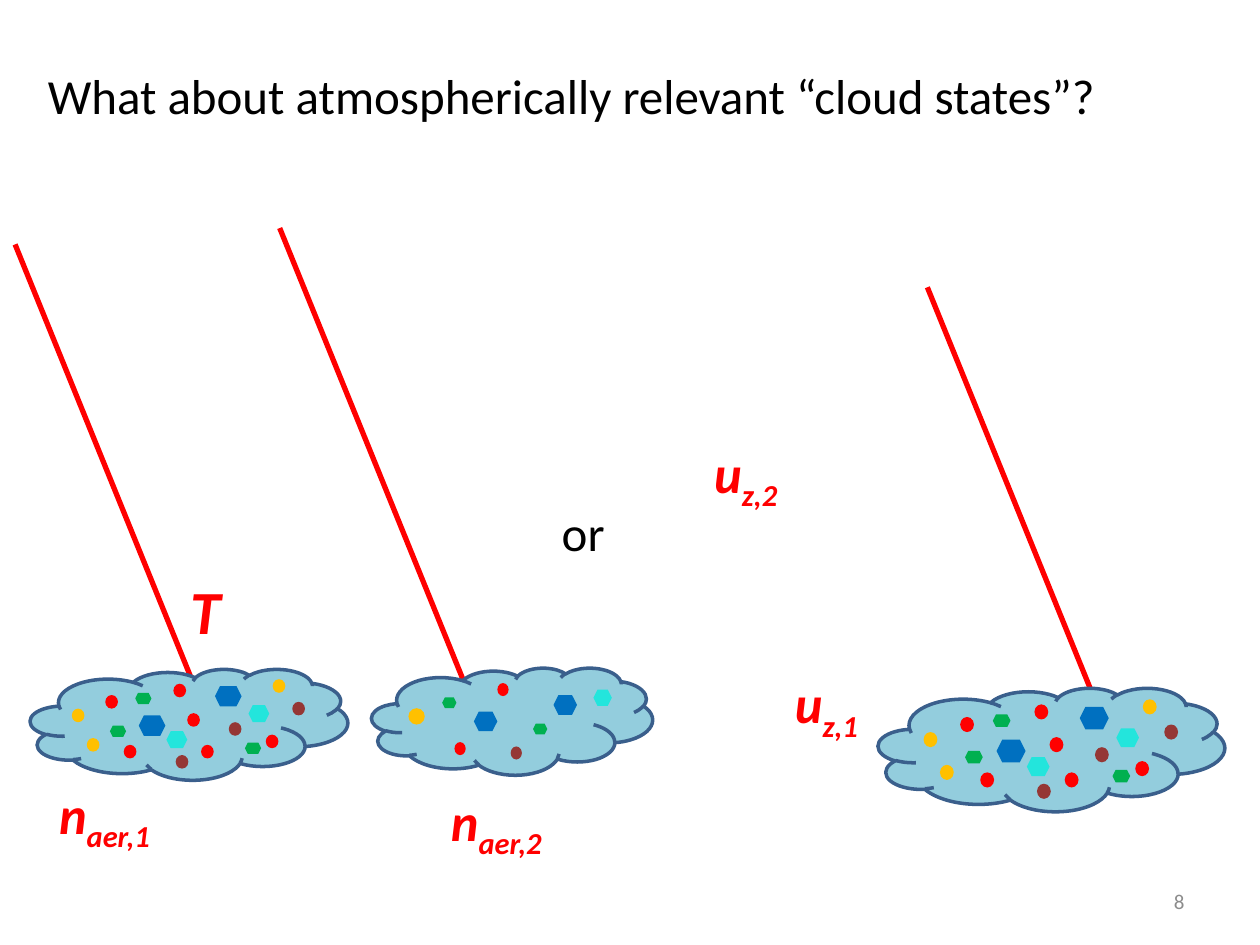
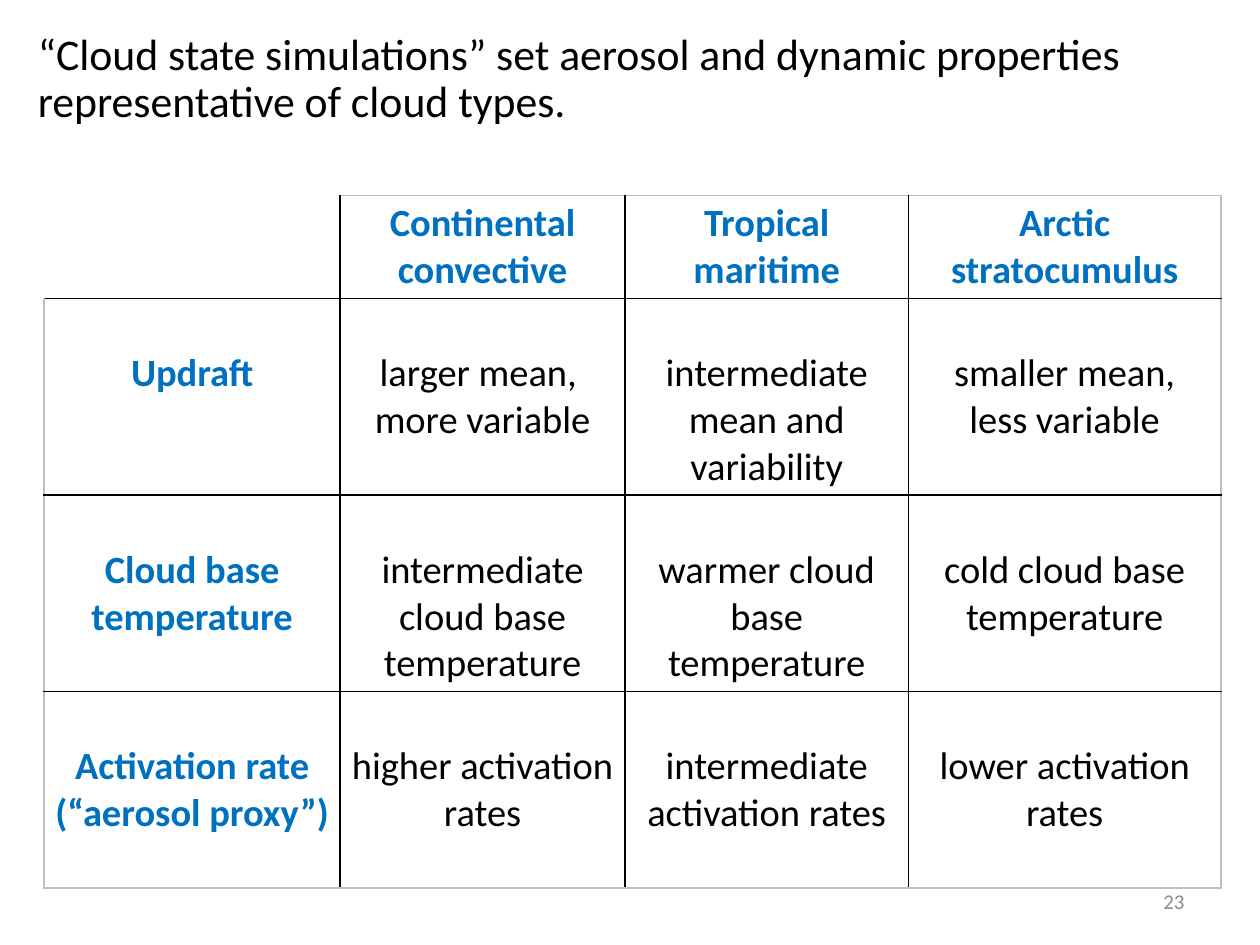
from lxml import etree
from pptx import Presentation
from pptx.dml.color import RGBColor
from pptx.enum.shapes import MSO_CONNECTOR, MSO_SHAPE
from pptx.enum.text import MSO_ANCHOR, MSO_AUTO_SIZE, PP_ALIGN
from pptx.oxml.ns import qn
from pptx.util import Inches, Pt

FONT = "Calibri"
BLACK, WHITE, RED, BLUE = "000000", "FFFFFF", "FF0000", "0070C0"
GREY, EDGE_GREY = "8C8C8C", "BFBFBF"
CLOUD_FILL, CLOUD_LINE = "93CDDD", "3A5F8C"

CLOUD_WIDTH, CLOUD_HEIGHT = 2.75, 0.98
PARTICLES = {
    "red": (MSO_SHAPE.OVAL, RED, 0.11, 0.12),
    "brown": (MSO_SHAPE.OVAL, "953735", 0.11, 0.12),
    "yellow": (MSO_SHAPE.OVAL, "FFC000", 0.11, 0.12),
    "large yellow": (MSO_SHAPE.OVAL, "FFC000", 0.16, 0.15),
    "blue": (MSO_SHAPE.HEXAGON, BLUE, 0.23, 0.18),
    "cyan": (MSO_SHAPE.HEXAGON, "23E5DC", 0.18, 0.15),
    "green": (MSO_SHAPE.HEXAGON, "00B050", 0.14, 0.1),
}
DENSE = {
    "red": [(0.65, 0.23), (1.24, 0.13), (1.36, 0.39), (1.48, 0.67), (2.04, 0.58), (0.81, 0.67)],
    "brown": [(1.72, 0.47), (1.26, 0.76), (2.27, 0.29)],
    "yellow": [(2.1, 0.09), (0.49, 0.61), (0.36, 0.35)],
    "blue": [(1.6, 0.15), (0.94, 0.41)],
    "cyan": [(1.89, 0.32), (1.18, 0.55)],
    "green": [(0.91, 0.21), (0.69, 0.5), (1.86, 0.65)],
}
SPARSE = {
    "red": [(1.23, 0.14), (0.81, 0.68)],
    "brown": [(1.36, 0.72)],
    "large yellow": [(0.36, 0.37)],
    "blue": [(1.78, 0.25), (1.0, 0.4)],
    "cyan": [(2.17, 0.2)],
    "green": [(0.69, 0.27), (1.58, 0.51)],
}
CLOUD_STATES = [
    ["", "Continental convective", "Tropical maritime", "Arctic stratocumulus"],
    ["Updraft", "larger mean, \nmore variable", "intermediate mean and variability",
     "smaller mean,\nless variable"],
    ["Cloud base temperature", "intermediate cloud base temperature",
     "warmer cloud base temperature", "cold cloud base temperature"],
    ["Activation rate (“aerosol proxy”)", "higher activation rates",
     "intermediate activation rates", "lower activation rates"],
]


def rgb(color):
    return RGBColor.from_string(color)


def set_font(font, size, color, bold=False, italic=False):
    font.name, font.size = FONT, Pt(size)
    font.bold, font.italic = bold, italic
    font.color.rgb = rgb(color)


def set_border(cell, side, color):
    properties = cell._tc.get_or_add_tcPr()
    line = etree.SubElement(properties, qn("a:ln" + side), w=str(Pt(1)))
    fill = etree.SubElement(line, qn("a:solidFill"))
    etree.SubElement(fill, qn("a:srgbClr"), val=color)


class Deck:
    def __init__(self):
        self.presentation = Presentation()
        self.presentation.slide_width = Inches(10)
        self.presentation.slide_height = Inches(7.5)
        self.slide = None

    def add_slide(self, title, number, left, top, width, height, size, spacing=1.0):
        self.slide = self.presentation.slides.add_slide(self.presentation.slide_layouts[5])
        shape = self.slide.shapes.title
        shape.left, shape.top = Inches(left), Inches(top)
        shape.width, shape.height = Inches(width), Inches(height)
        frame = shape.text_frame
        frame.text = title
        frame.word_wrap = True
        frame.auto_size = MSO_AUTO_SIZE.NONE
        frame.vertical_anchor = MSO_ANCHOR.TOP
        paragraph = frame.paragraphs[0]
        paragraph.alignment = PP_ALIGN.LEFT
        paragraph.line_spacing = spacing
        set_font(paragraph.font, size, BLACK)
        self.page_number(number)

    def page_number(self, number):
        frame = self.text(str(number), 7.17, 6.95, 2.33, 0.4, 12, GREY)
        frame.vertical_anchor = MSO_ANCHOR.MIDDLE
        frame.word_wrap = True
        frame.paragraphs[0].alignment = PP_ALIGN.RIGHT

    def text(self, text, left, top, width, height, size, color, emphasis=False):
        box = self.slide.shapes.add_textbox(
            Inches(left), Inches(top), Inches(width), Inches(height))
        frame = box.text_frame
        frame.word_wrap = False
        paragraph = frame.paragraphs[0]
        paragraph.add_run().text = text
        set_font(paragraph.font, size, color, emphasis, emphasis)
        return frame

    def symbol(self, letter, index, left, top, width):
        frame = self.text(letter, left, top, width, 0.61, 30, RED, emphasis=True)
        subscript = frame.paragraphs[0].add_run()
        subscript.text = index
        subscript._r.get_or_add_rPr().set("baseline", "-25000")

    def line(self, left, top):
        connector = self.slide.shapes.add_connector(
            MSO_CONNECTOR.STRAIGHT, Inches(left + 1.62), Inches(top + 3.99),
            Inches(left), Inches(top))
        connector.line.color.rgb = rgb(RED)
        connector.line.width = Pt(3)
        etree.SubElement(connector._element.spPr, qn("a:effectLst"))

    def shape(self, shapes, kind, left, top, width, height, fill, outline=None):
        shape = shapes.add_shape(
            kind, Inches(left), Inches(top), Inches(width), Inches(height))
        shape.shadow.inherit = False
        shape.fill.solid()
        shape.fill.fore_color.rgb = rgb(fill)
        if outline:
            shape.line.color.rgb = rgb(outline)
            shape.line.width = Pt(2)
        else:
            shape.line.fill.background()

    def cloud(self, left, top, width, height, contents):
        shapes = self.slide.shapes.add_group_shape().shapes
        self.shape(shapes, MSO_SHAPE.CLOUD, left, top, width, height, CLOUD_FILL, CLOUD_LINE)
        across, down = width / CLOUD_WIDTH, height / CLOUD_HEIGHT
        for name, places in contents.items():
            kind, color, particle_width, particle_height = PARTICLES[name]
            for x, y in places:
                self.shape(shapes, kind, left + x * across, top + y * down,
                           particle_width * across, particle_height * down, color)

    def table(self, rows, left, top, widths, heights):
        table = self.slide.shapes.add_table(
            len(rows), len(widths), Inches(left), Inches(top),
            Inches(sum(widths)), Inches(sum(heights))).table
        table.first_row = table.horz_banding = False
        for column, width in zip(table.columns, widths):
            column.width = Inches(width)
        for row, height in zip(table.rows, heights):
            row.height = Inches(height)
        for r, texts in enumerate(rows):
            for c, text in enumerate(texts):
                outer = EDGE_GREY if r or c else WHITE
                edges = {"L": c == 0, "R": c == len(widths) - 1,
                         "T": r == 0, "B": r == len(rows) - 1}
                cell = table.cell(r, c)
                for side, is_outer in edges.items():
                    set_border(cell, side, outer if is_outer else BLACK)
                self.fill_cell(cell, text, heading=r == 0 or c == 0,
                               top_margin=0.41 if r else 0.04)

    def fill_cell(self, cell, text, heading, top_margin):
        cell.fill.solid()
        cell.fill.fore_color.rgb = rgb(WHITE)
        cell.margin_left = cell.margin_right = Inches(0.07)
        cell.margin_top, cell.margin_bottom = Inches(top_margin), Inches(0.04)
        cell.text_frame.text = text
        for paragraph in cell.text_frame.paragraphs:
            paragraph.alignment = PP_ALIGN.CENTER
            set_font(paragraph.font, 22, BLUE if heading else BLACK, heading)


def main():
    deck = Deck()

    deck.add_slide("What about atmospherically relevant “cloud states”?", 8,
                   0.28, 0.47, 9.06, 0.52, 28)
    for left, top in [(0.12, 1.94), (2.22, 1.81), (7.36, 2.28)]:
        deck.line(left, top)
    deck.cloud(6.97, 5.46, CLOUD_WIDTH, CLOUD_HEIGHT, DENSE)
    deck.cloud(0.24, 5.31, 2.52, 0.88, DENSE)
    deck.cloud(2.95, 5.3, 2.23, 0.85, SPARSE)
    deck.symbol("u", "z,1", 6.21, 5.28, 0.75)
    deck.symbol("u", "z,2", 5.57, 3.45, 0.78)
    deck.symbol("n", "aer,1", 0.37, 6.16, 1.01)
    deck.symbol("n", "aer,2", 3.48, 6.21, 1.01)
    deck.text("T", 1.41, 4.5, 0.45, 0.69, 35, RED, emphasis=True)
    deck.text("or", 4.36, 3.94, 0.55, 0.57, 28, BLACK)

    deck.add_slide("“Cloud state simulations” set aerosol and dynamic properties "
                   "representative of cloud types.", 23,
                   0.2, 0.21, 9.13, 0.55, 25, spacing=0.9)
    deck.table(CLOUD_STATES, 0.35, 1.55, [2.35, 2.26, 2.25, 2.48], [0.82] + [1.56] * 3)

    deck.presentation.save("out.pptx")


if __name__ == "__main__":
    main()
